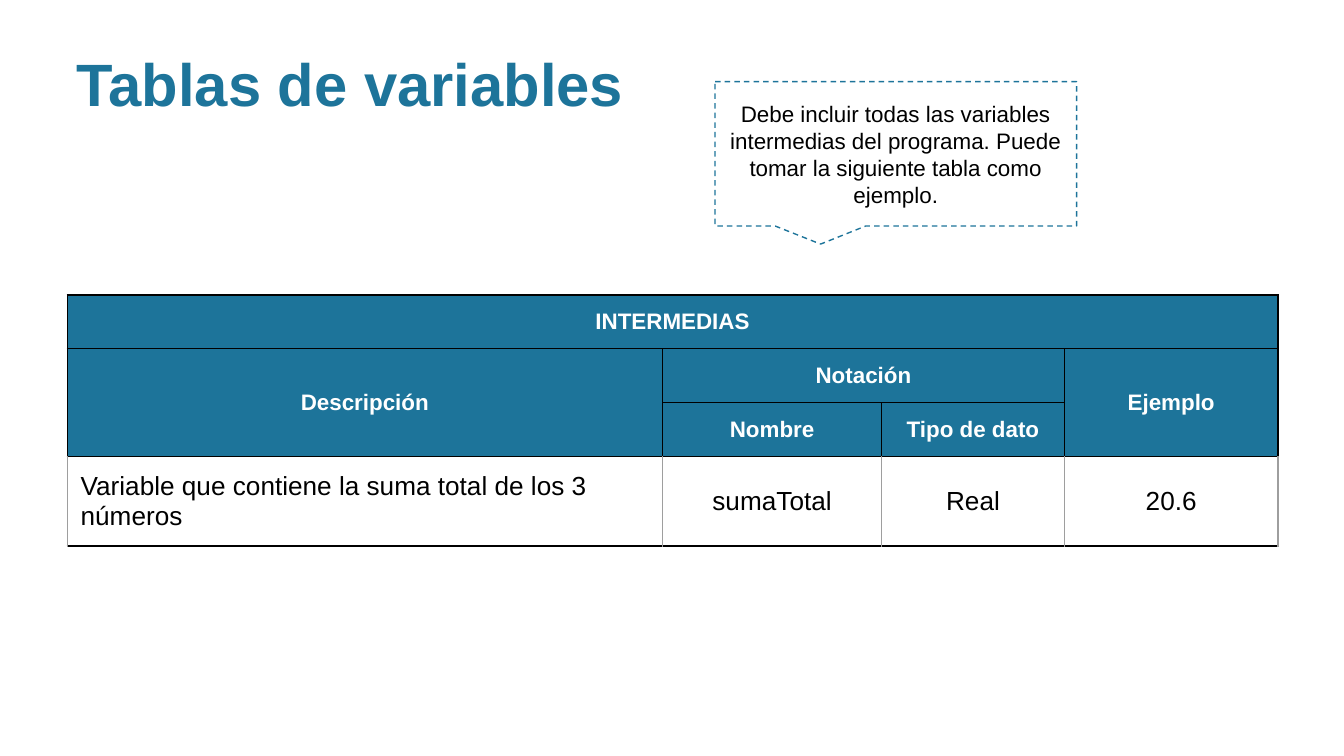
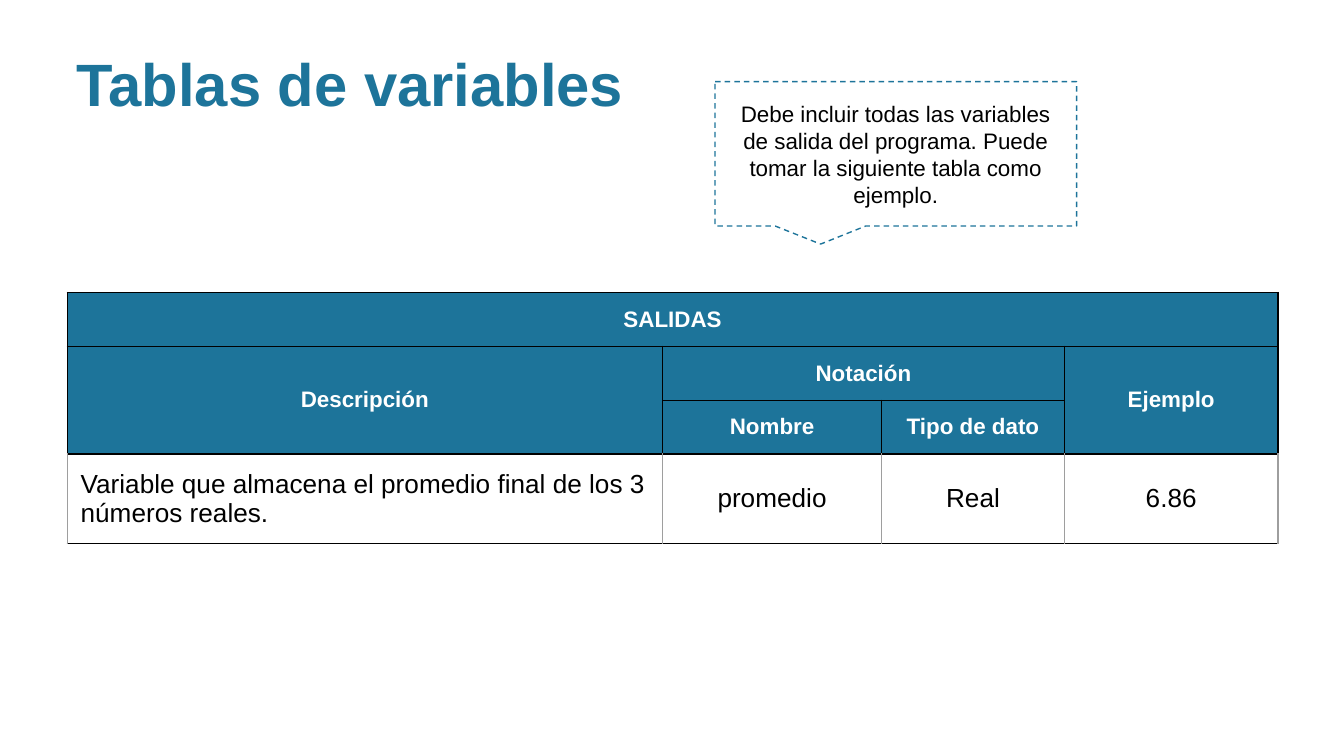
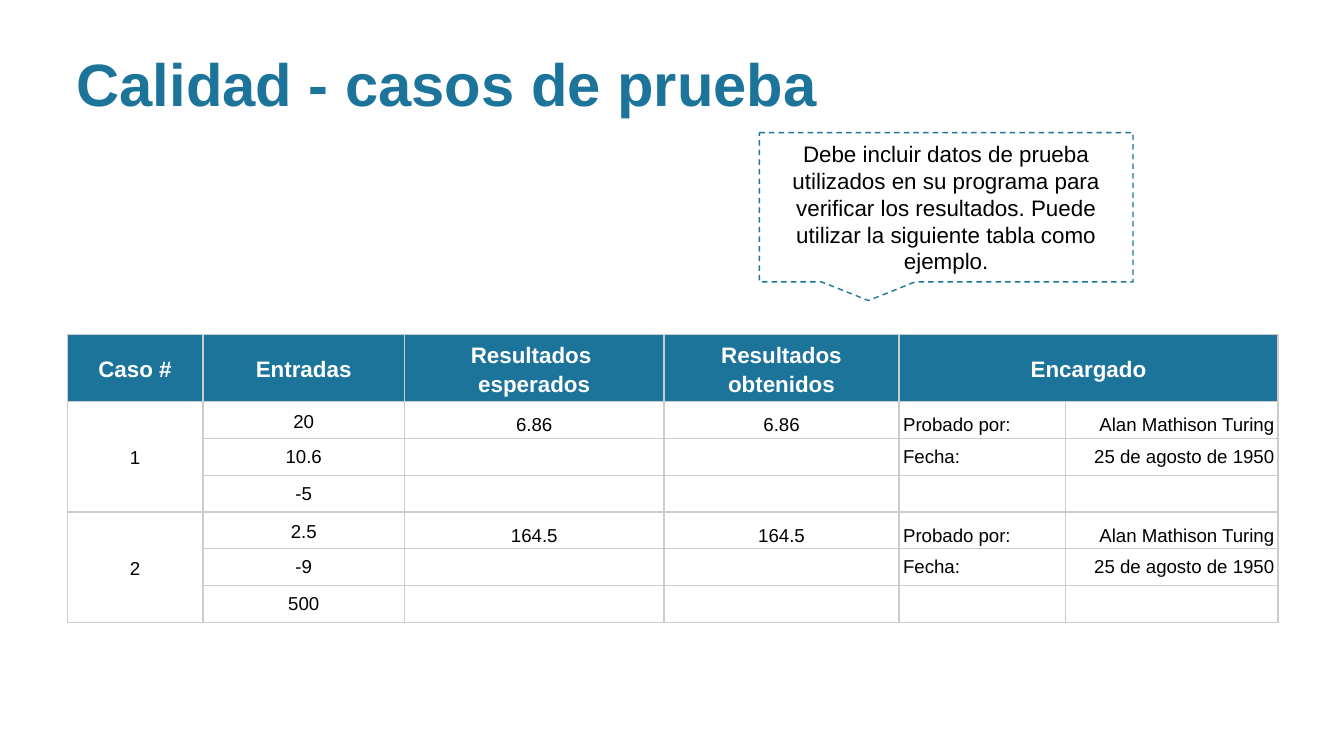
from lxml.etree import SubElement
from pptx import Presentation
from pptx.dml.color import RGBColor
from pptx.enum.dml import MSO_LINE
from pptx.enum.shapes import MSO_SHAPE
from pptx.enum.text import MSO_ANCHOR, PP_ALIGN
from pptx.oxml.ns import qn
from pptx.util import Inches, Pt

WIDTH, HEIGHT = Inches(10), Inches(5.625)
BLUE = RGBColor(0x1D, 0x74, 0x9A)
WHITE = RGBColor(0xFF, 0xFF, 0xFF)
BLACK = RGBColor(0, 0, 0)
GREY = RGBColor(0x9E, 0x9E, 0x9E)
LIGHT_GREY = RGBColor(0xCC, 0xCC, 0xCC)
FONT = "Arial"
LEFT, CENTER, RIGHT = PP_ALIGN.LEFT, PP_ALIGN.CENTER, PP_ALIGN.RIGHT
MIDDLE, BOTTOM = MSO_ANCHOR.MIDDLE, MSO_ANCHOR.BOTTOM
MARGIN = 5
VARIABLE_COLUMNS = (44.3, 16.3, 13.6, 15.9)
VARIABLE_ROWS = (6.88, 6.88, 6.88, 11.38)
CASE_COLUMNS = (10.1, 15, 19.3, 17.5, 12.4, 15.8)
CASE_ROWS = (8.46,) + (4.87,) * 6


def across(percent):
    return round(WIDTH * percent / 100)


def down(percent):
    return round(HEIGHT * percent / 100)


def box(x, y, w, h):
    return across(x), down(y), across(w), down(h)


def write(tf, text, size=12, color=BLACK, bold=False, align=LEFT, spacing=None):
    for i, line in enumerate(text.split("\n")):
        p = tf.add_paragraph() if i else tf.paragraphs[0]
        p.alignment = align
        if spacing:
            p.line_spacing = spacing
        if not line:
            SubElement(p._p, qn("a:endParaRPr"), sz=str(size * 100))
            continue
        r = p.add_run()
        r.text = line
        r.font.name, r.font.size, r.font.bold = FONT, Pt(size), bold
        r.font.color.rgb = color


def set_frame(tf, x_margin, y_margin):
    tf.word_wrap = True
    tf.vertical_anchor = MIDDLE
    tf.margin_left = tf.margin_right = Inches(x_margin)
    tf.margin_top = tf.margin_bottom = Inches(y_margin)


def add_slide(prs, title):
    s = prs.slides.add_slide(prs.slide_layouts[6])
    tf = s.shapes.add_textbox(*box(MARGIN, 5.33, 74.1, 12.27)).text_frame
    set_frame(tf, 0.07, 0.04)
    write(tf, title, size=32, color=BLUE, bold=True, spacing=0.9)
    return s


def add_callout(s, text, x, y, w, h):
    sp = s.shapes.add_shape(MSO_SHAPE.ROUNDED_RECTANGULAR_CALLOUT, *box(x, y, w, h))
    for i, value in enumerate((-0.208, 0.625, 0)):
        sp.adjustments[i] = value
    sp.shadow.inherit = False
    sp.fill.background()
    sp.line.color.rgb = BLUE
    sp.line.width = Pt(0.75)
    sp.line.dash_style = MSO_LINE.DASH
    set_frame(sp.text_frame, 0.1, 0.1)
    write(sp.text_frame, text, align=CENTER)


def set_borders(cell, sides, tops):
    tcPr = cell._tc.get_or_add_tcPr()
    for tag, color in (("lnL", sides), ("lnR", sides), ("lnT", tops), ("lnB", tops)):
        ln = SubElement(tcPr, qn(f"a:{tag}"), w=str(Pt(0.75)))
        fill = SubElement(ln, qn("a:solidFill"))
        SubElement(fill, qn("a:srgbClr"), val=str(color))


def add_grid(s, y, columns, rows):
    table = s.shapes.add_table(len(rows), len(columns),
                               *box(MARGIN, y, sum(columns), sum(rows))).table
    table.first_row = table.horz_banding = False
    for column, share in zip(table.columns, columns):
        column.width = across(share)
    for row, share in zip(table.rows, rows):
        row.height = down(share)
    return table


def fill_cell(cell, text, margins, sides, tops, fill=None, anchor=MIDDLE, **fmt):
    cell.margin_left = cell.margin_right = Inches(margins[0])
    cell.margin_top = cell.margin_bottom = Inches(margins[1])
    cell.vertical_anchor = anchor
    set_borders(cell, sides, tops)
    if fill is None:
        cell.fill.background()
    else:
        cell.fill.solid()
        cell.fill.fore_color.rgb = fill
    write(cell.text_frame, text, **fmt)


def merge(table, *spans):
    for top, left, bottom, right in spans:
        table.cell(top, left).merge(table.cell(bottom, right))


def add_variable_table(s, y, heading, values):
    table = add_grid(s, y, VARIABLE_COLUMNS, VARIABLE_ROWS)
    headers = (
        (heading, "", "", ""),
        ("Descripción", "Notación", "", "Ejemplo"),
        ("", "Nombre", "Tipo de dato", ""),
    )
    for i, labels in enumerate(headers):
        for j, label in enumerate(labels):
            fill_cell(table.cell(i, j), label, (0.1, 0.1), BLACK, BLACK,
                      fill=BLUE, color=WHITE, bold=True, align=CENTER)
    for j, value in enumerate(values):
        fill_cell(table.cell(3, j), value, (0.1, 0.1), GREY, BLACK,
                  size=14, align=CENTER if j else LEFT)
    merge(table, (0, 0, 0, 3), (1, 0, 2, 0), (1, 1, 1, 2), (1, 3, 2, 3))


def add_case_table(s, y, cases, tester, date):
    table = add_grid(s, y, CASE_COLUMNS, CASE_ROWS)
    edges = ((0.03, 0.02), LIGHT_GREY, LIGHT_GREY)
    headers = ("Caso #", "Entradas", "Resultados \nesperados",
               "Resultados\nobtenidos", "Encargado", "")
    for j, label in enumerate(headers):
        fill_cell(table.cell(0, j), label, *edges, fill=BLUE, color=WHITE,
                  bold=True, align=CENTER, spacing=1.15)
    merge(table, (0, 4, 0, 5))
    aligns = (CENTER,) * 4 + (LEFT, RIGHT)
    for n, (inputs, result) in enumerate(cases):
        top = 1 + 3 * n
        lines = (
            (str(n + 1), inputs[0], result, result, "Probado por:", tester),
            ("", inputs[1], "", "", "Fecha:", date),
            ("", inputs[2], "", "", "", ""),
        )
        for i, line in enumerate(lines):
            for j, text in enumerate(line):
                fill_cell(table.cell(top + i, j), text, *edges, size=10,
                          anchor=BOTTOM if i == 0 and j > 1 else MIDDLE,
                          align=aligns[j], spacing=1.15 if i == 0 and j < 3 else None)
        merge(table, (top, 0, top + 2, 0))


def main():
    prs = Presentation()
    prs.slide_width, prs.slide_height = WIDTH, HEIGHT

    variable_slides = (
        ("intermedias", "INTERMEDIAS", 39.02,
         ("Variable que contiene la suma total de los 3 números",
          "sumaTotal", "Real", "20.6")),
        ("de salida", "SALIDAS", 38.69,
         ("Variable que almacena el promedio final de los 3 números reales.",
          "promedio", "Real", "6.86")),
    )
    for kind, heading, y, values in variable_slides:
        s = add_slide(prs, "Tablas de variables")
        add_variable_table(s, y, heading, values)
        add_callout(s, f"Debe incluir todas las variables {kind} del programa. "
                    "Puede tomar la siguiente tabla como ejemplo.",
                    53.2, 10.8, 26.9, 19.1)

    s = add_slide(prs, "Calidad - casos de prueba")
    cases = ((("20", "10.6", "-5"), "6.86"), (("2.5", "-9", "500"), "164.5"))
    add_case_table(s, 44.25, cases, "Alan Mathison Turing", "25 de agosto de 1950")
    add_callout(s, "Debe incluir datos de prueba utilizados en su programa para "
                "verificar los resultados. Puede utilizar la siguiente tabla como ejemplo.",
                56.5, 17.55, 27.8, 19.75)

    prs.save("out.pptx")


if __name__ == "__main__":
    main()
